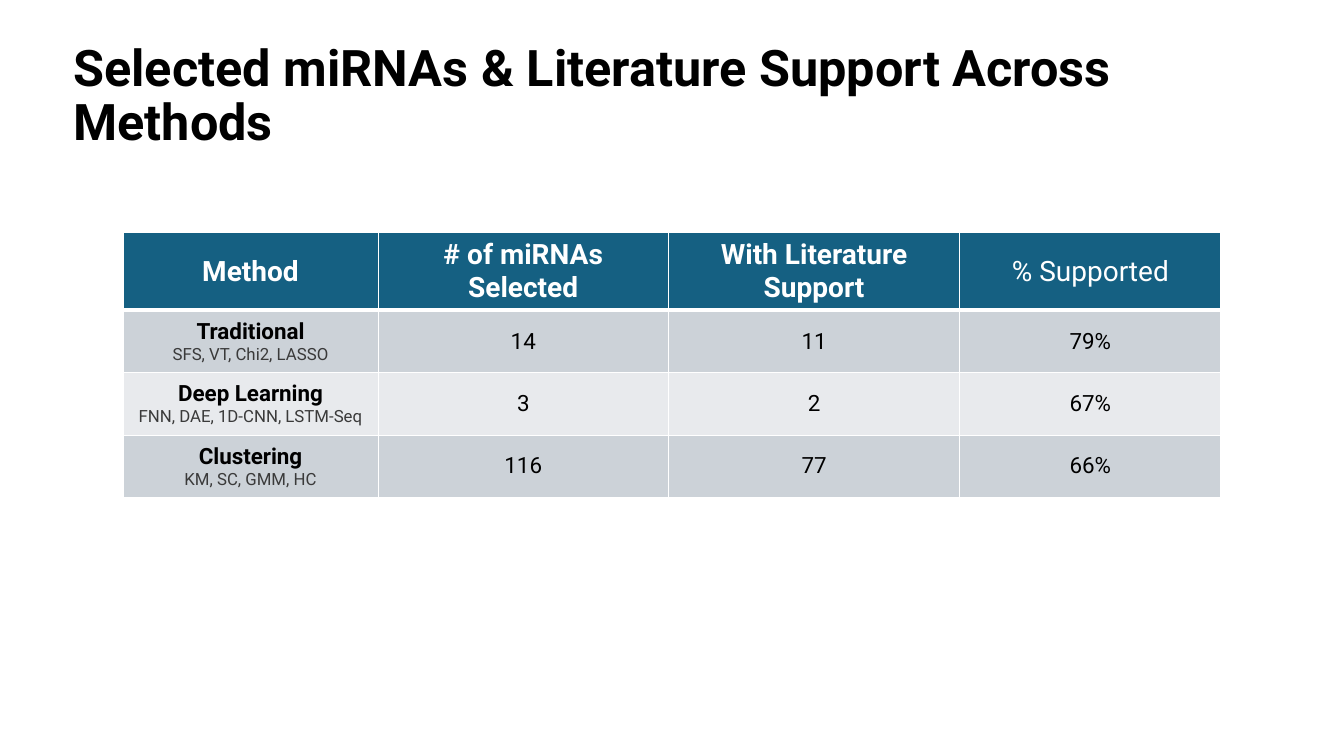
"""Build the slide on selected miRNAs and their literature support."""
from lxml import etree
from pptx import Presentation
from pptx.dml.color import RGBColor
from pptx.enum.text import MSO_ANCHOR, PP_ALIGN
from pptx.oxml.ns import qn
from pptx.util import Inches, Pt

MIDDLE = MSO_ANCHOR.MIDDLE
CENTER = PP_ALIGN.CENTER
COLORS = {"head": "156082", "dark": "CCD2D8", "light": "E8EAED",
          "white": "FFFFFF", "black": "000000", "gray": "3A3A3A"}
HEADS = [("Method", True), ("# of miRNAs Selected", True),
         ("With Literature Support", True), ("% Supported", False)]
METHODS = [("Traditional", "SFS, VT, Chi2, LASSO", "14", "11", "79%"),
           ("Deep Learning", "FNN, DAE, 1D-CNN, LSTM-Seq", "3", "2", "67%"),
           ("Clustering", "KM, SC, GMM, HC", "116", "77", "66%")]
WIDTHS = [2.53, 2.88, 2.89, 2.59]
HEIGHTS = [0.74] + [0.62] * len(METHODS)


class Deck:
    """Hold the style and the current slide."""

    def __init__(self):
        self.font = "Roboto"
        self.show = Presentation()
        self.show.slide_width = Inches(13.33)
        self.show.slide_height = Inches(7.5)
        self.slide = self.show.slides.add_slide(self.show.slide_layouts[6])

    def words(self, para, text, size, color="black", bold=False):
        run = para.add_run()
        run.text = text
        run.font.name = self.font
        run.font.size = Pt(size)
        run.font.bold = bold
        run.font.color.rgb = RGBColor.from_string(COLORS[color])

    def title(self, text, left, top, width, height):
        box = self.slide.shapes.add_textbox(
            Inches(left), Inches(top), Inches(width), Inches(height))
        frame = box.text_frame
        frame.word_wrap = True
        frame.vertical_anchor = MIDDLE
        para = frame.paragraphs[0]
        para.line_spacing = 0.9
        self.words(para, text, 36, bold=True)

    def table(self, left, top, widths, heights):
        frame = self.slide.shapes.add_table(
            len(heights), len(widths), Inches(left), Inches(top),
            Inches(sum(widths)), Inches(sum(heights)))
        grid = frame.table
        for col, width in zip(grid.columns, widths):
            col.width = Inches(width)
        for row, height in zip(grid.rows, heights):
            row.height = Inches(height)
        return grid

    def border(self, cell, base):
        props = cell._tc.get_or_add_tcPr()
        sides = [("a:lnL", 1), ("a:lnR", 1), ("a:lnT", 1), ("a:lnB", base)]
        for spot, (tag, width) in enumerate(sides):
            line = etree.Element(qn(tag), w=str(Pt(width)))
            fill = etree.SubElement(line, qn("a:solidFill"))
            etree.SubElement(fill, qn("a:srgbClr"), val=COLORS["white"])
            props.insert(spot, line)

    def cell(self, cell, fill, lines, base=1):
        cell.fill.solid()
        cell.fill.fore_color.rgb = RGBColor.from_string(COLORS[fill])
        cell.vertical_anchor = MIDDLE
        self.border(cell, base)
        frame = cell.text_frame
        for spot, line in enumerate(lines):
            para = frame.add_paragraph() if spot else frame.paragraphs[0]
            para.alignment = CENTER
            self.words(para, *line)


def main():
    deck = Deck()
    deck.title("Selected miRNAs & Literature Support Across Methods",
               0.63, 0.39, 11.85, 1.15)
    grid = deck.table(1.22, 2.31, WIDTHS, HEIGHTS)
    for col, (text, bold) in enumerate(HEADS):
        deck.cell(grid.cell(0, col), "head", [(text, 20, "white", bold)], 3)
    for row, (name, models, *counts) in enumerate(METHODS, 1):
        fill = "dark" if row % 2 else "light"
        deck.cell(grid.cell(row, 0), fill,
                  [(name, 16, "black", True), (models, 12, "gray")])
        for col, count in enumerate(counts, 1):
            deck.cell(grid.cell(row, col), fill, [(count, 16)])
    deck.show.save("out.pptx")


if __name__ == "__main__":
    main()
